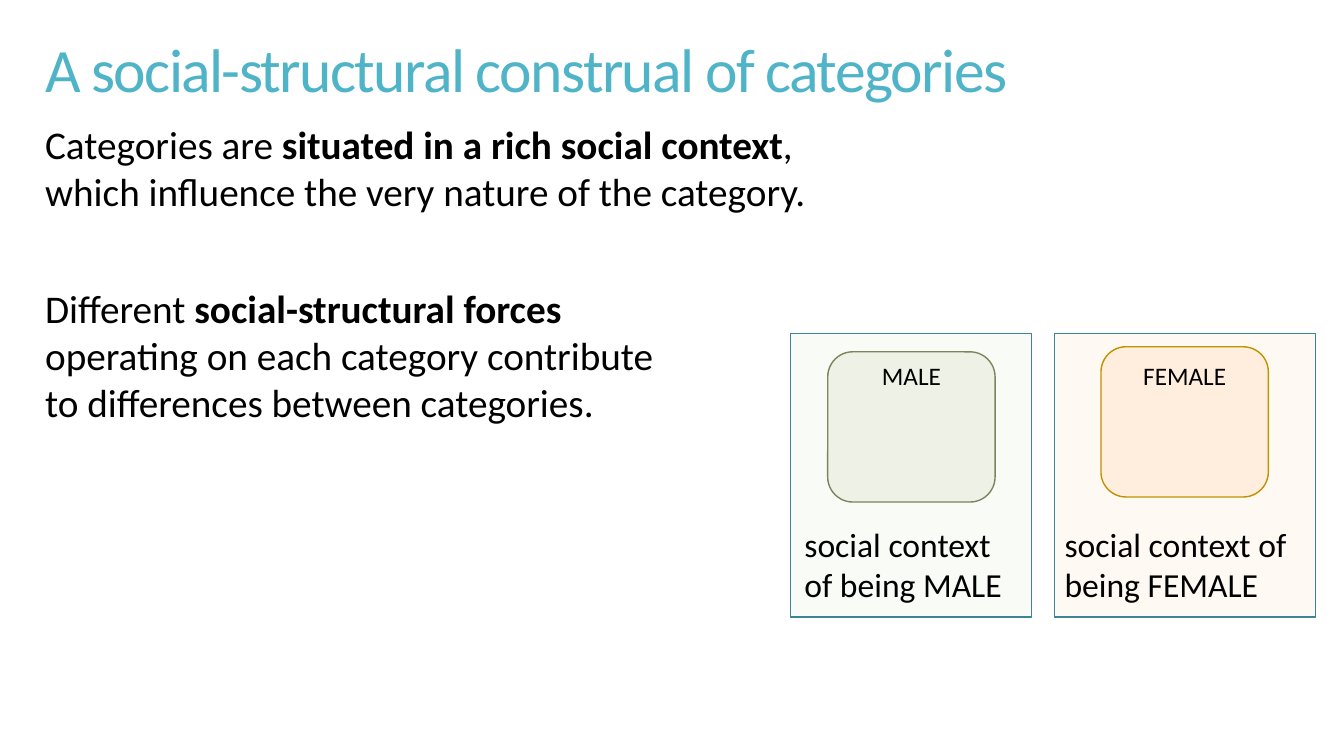
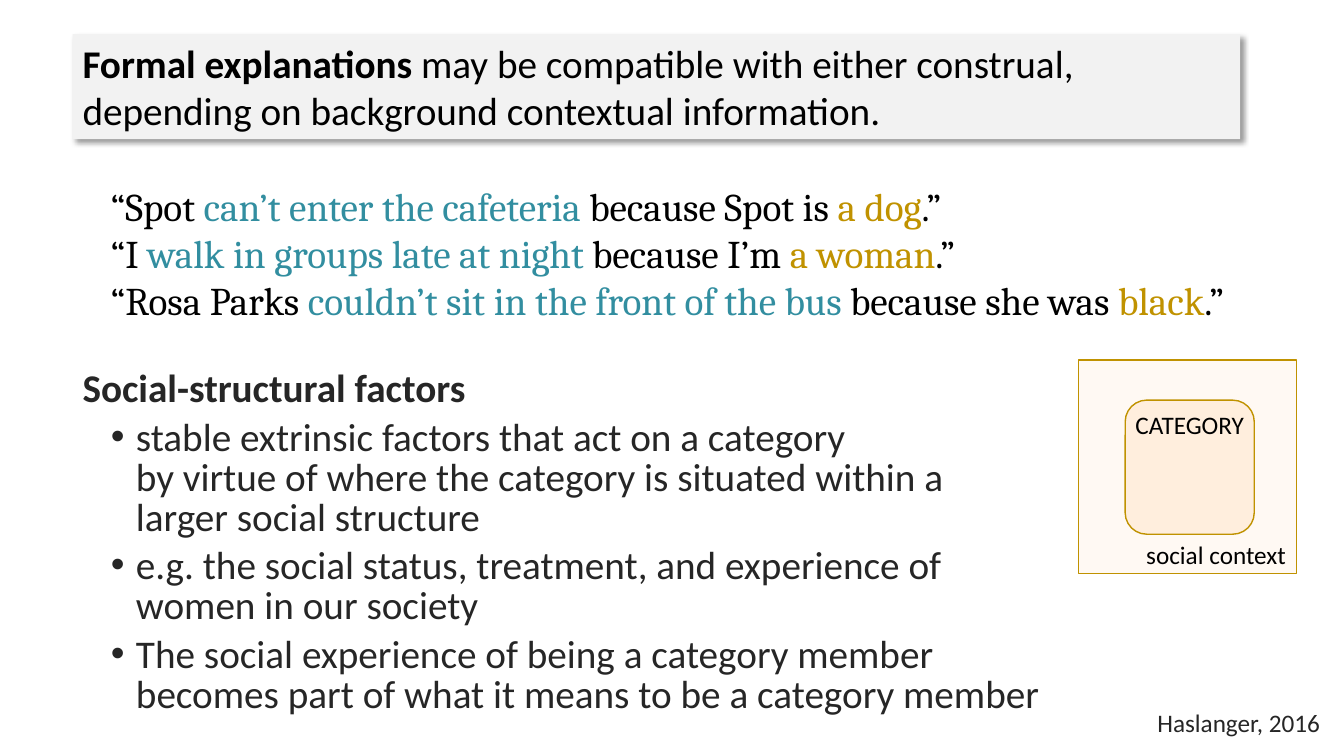
from lxml import etree
from pptx import Presentation
from pptx.dml.color import RGBColor
from pptx.enum import shapes, text
from pptx.oxml import ns
from pptx.util import Inches, Pt

HUES = {
    "black": "000000", "ink": "262626", "title": "50B4C8", "teal": "328EA0",
    "edge": "3B8594", "gold": "C09200", "olive": "7A855D", "cream": "FFF9F3",
    "peach": "FFEEDD", "mint": "F9FBF7", "sage": "EEF1E5", "band": "F2F2F2",
}
RECT = shapes.MSO_SHAPE.RECTANGLE
ROUND = shapes.MSO_SHAPE.ROUNDED_RECTANGLE
LEFT, MID, RIGHT = text.PP_ALIGN.LEFT, text.PP_ALIGN.CENTER, text.PP_ALIGN.RIGHT


def hue(name):
    """Return the named colour."""
    return RGBColor.from_string(HUES[name])


def add_run(para, words, size, face="Calibri", color="black", bold=False, track=0):
    """Add one styled run to a paragraph."""
    run = para.add_run()
    run.text = words
    font = run.font
    font.size, font.name, font.bold = Pt(size), face, bold
    font.color.rgb = hue(color)
    if track:
        run._r.get_or_add_rPr().set("spc", str(track))


def write(para, words, size, **style):
    """Add words to a paragraph, with a line break at each newline."""
    for i, line in enumerate(words.split("\n")):
        if i:
            para.add_line_break()
        if line:
            add_run(para, line, size, **style)


def indent(para, left, hang=0, mark=None):
    """Indent a paragraph, with a bullet where a mark is given."""
    props = para._p.get_or_add_pPr()
    props.set("marL", str(Inches(left)))
    props.set("indent", str(Inches(hang)))
    if mark:
        font = etree.SubElement(props, ns.qn("a:buFont"))
        font.set("typeface", "Arial")
        etree.SubElement(props, ns.qn("a:buChar")).set("char", mark)


def add_text(slide, box, runs=(), size=28, wrap=True, align=LEFT, space=None):
    """Place a text box whose first paragraph holds (words, style) runs."""
    frame = slide.shapes.add_textbox(*map(Inches, box)).text_frame
    frame.word_wrap = wrap
    para = frame.paragraphs[0]
    para.alignment, para.line_spacing = align, space
    for words, style in runs:
        write(para, words, size, **style)
    return frame


def add_box(slide, kind, box, fill, line=None):
    """Place a flat filled shape."""
    shape = slide.shapes.add_shape(kind, *map(Inches, box))
    shape.shadow.inherit = False
    shape.fill.solid()
    shape.fill.fore_color.rgb = hue(fill)
    if line:
        shape.line.color.rgb = hue(line)
        shape.line.width = Pt(1)
    else:
        shape.line.fill.background()
    return shape


def add_title(slide, words):
    """Place the slide title."""
    style = dict(color="title", track=-120)
    frame = add_text(slide, (0.35, -0.17, 11.78, 1.81), [(words, style)], 44, space=0.85)
    frame.vertical_anchor = text.MSO_ANCHOR.MIDDLE


def add_card(slide, box, fills, lines, tile, label, drop, note):
    """Draw a context box around a category tile, with label and note."""
    x, y, wide, high = box
    left, top, across, down = tile
    add_box(slide, RECT, box, fills[0], lines[0])
    add_box(slide, ROUND, (x + left, y + top, across, down), fills[1], lines[1])
    add_text(slide, (x + left, y + drop, across, 0.4), [(label, {})], 18, False, MID)
    words, size, dx, dy, span = note
    add_text(slide, (x + dx, y + dy, span, 0.4), [(words, {})], size, size > 18)


def add_band(slide, box, runs):
    """Draw a statement band with a soft shadow."""
    band = add_box(slide, RECT, box, "band")
    effect = band._element.spPr.find(ns.qn("a:effectLst"))
    shade = etree.SubElement(effect, ns.qn("a:outerShdw"), blurRad=str(Pt(4)),
                             dist=str(Pt(3)), dir="2700000", algn="tl", rotWithShape="0")
    tint = etree.SubElement(shade, ns.qn("a:srgbClr"), val=HUES["black"])
    etree.SubElement(tint, ns.qn("a:alpha"), val="40000")
    frame = band.text_frame
    frame.word_wrap = True
    frame.vertical_anchor = text.MSO_ANCHOR.TOP
    para = frame.paragraphs[0]
    para.alignment = LEFT
    for words, style in runs:
        write(para, words, 28, **style)


def add_quotes(slide, box, quotes):
    """List quotes whose act and category are coloured."""
    frame = add_text(slide, box)
    tones = ("black", "teal", "black", "gold", "black")
    for i, parts in enumerate(quotes):
        para = frame.add_paragraph() if i else frame.paragraphs[0]
        indent(para, 0.28)
        for words, tone in zip(parts + ("\u002e”",), tones):
            write(para, words, 28, face="Cambria", color=tone)


def add_points(slide, box, head, points):
    """List bullet points below a bold heading."""
    frame = add_text(slide, box, [(head, dict(color="ink", bold=True))], space=0.85)
    for point in points:
        para = frame.add_paragraph()
        indent(para, 0.53, -0.25, "•")
        para.line_spacing, para.space_before = 0.85, Pt(6)
        write(para, point, 28, color="ink")


def build_forces(slide):
    """Build the slide on the social-structural construal."""
    bold = dict(bold=True)
    add_title(slide, "A social-structural construal of categories")
    add_text(slide, (0.35, 1.14, 8.57, 1.04), [
        ("Categories are ", {}), ("situated in a rich social context", bold),
        (", which influence the very nature of the category.", {})])
    add_text(slide, (0.35, 2.77, 6.67, 1.51), [
        ("Different ", {}), ("social-structural forces \n", bold),
        ("operating on each category contribute \nto differences between categories.", {})])
    add_card(slide, (7.84, 3.31, 2.39, 2.81), ("mint", "sage"), ("edge", "olive"),
             (0.37, 0.18, 1.66, 1.49), "MALE", 0.22,
             ("social context of being MALE", 24, 0.04, 1.84, 2.33))
    add_card(slide, (10.46, 3.31, 2.59, 2.81), ("cream", "peach"), ("edge", "gold"),
             (0.46, 0.13, 1.66, 1.49), "FEMALE", 0.22,
             ("social context of being FEMALE", 24, 0, 1.84, 2.59))


def build_formal(slide):
    """Build the slide on formal explanations."""
    add_points(slide, (0.72, 3.63, 10.71, 3.66), "Social-structural factors", [
        "stable extrinsic factors that act on a category \n"
        "by virtue of where the category is situated within a \nlarger social structure",
        "e.g. the social status, treatment, and experience of \nwomen in our society",
        "The social experience of being a category member \n"
        "becomes part of what it means to be a category member"])
    add_text(slide, (2.48, 7.01, 10.71, 0.4), [("Haslanger, 2016", dict(color="ink"))],
             18, align=RIGHT, space=0.85)
    add_band(slide, (0.72, 0.34, 11.58, 1.04), [
        ("Formal explanations ", dict(bold=True)),
        ("may be compatible with either construal, \n"
         "depending on background contextual information.", {})])
    add_quotes(slide, (0.72, 1.76, 12.06, 1.51), [
        ("“Spot ", "can’t enter the cafeteria ", "because Spot is ", "a dog"),
        ("“I ", "walk in groups late at night ", "because I’m ", "a woman"),
        ("“Rosa Parks ", "couldn’t sit in the front of the bus ", "because she was ", "black")])
    add_card(slide, (10.7, 3.57, 2.16, 2.12), ("cream", "peach"), ("gold", "gold"),
             (0.46, 0.4, 1.28, 1.33), "CATEGORY", 0.44,
             ("social context", 18, 0.57, 1.73, 1.64))


def main():
    """Build and save the deck."""
    deck = Presentation()
    deck.slide_width, deck.slide_height = Inches(13.33), Inches(7.5)
    for build in (build_forces, build_formal):
        build(deck.slides.add_slide(deck.slide_layouts[6]))
    deck.save("out.pptx")


if __name__ == "__main__":
    main()
